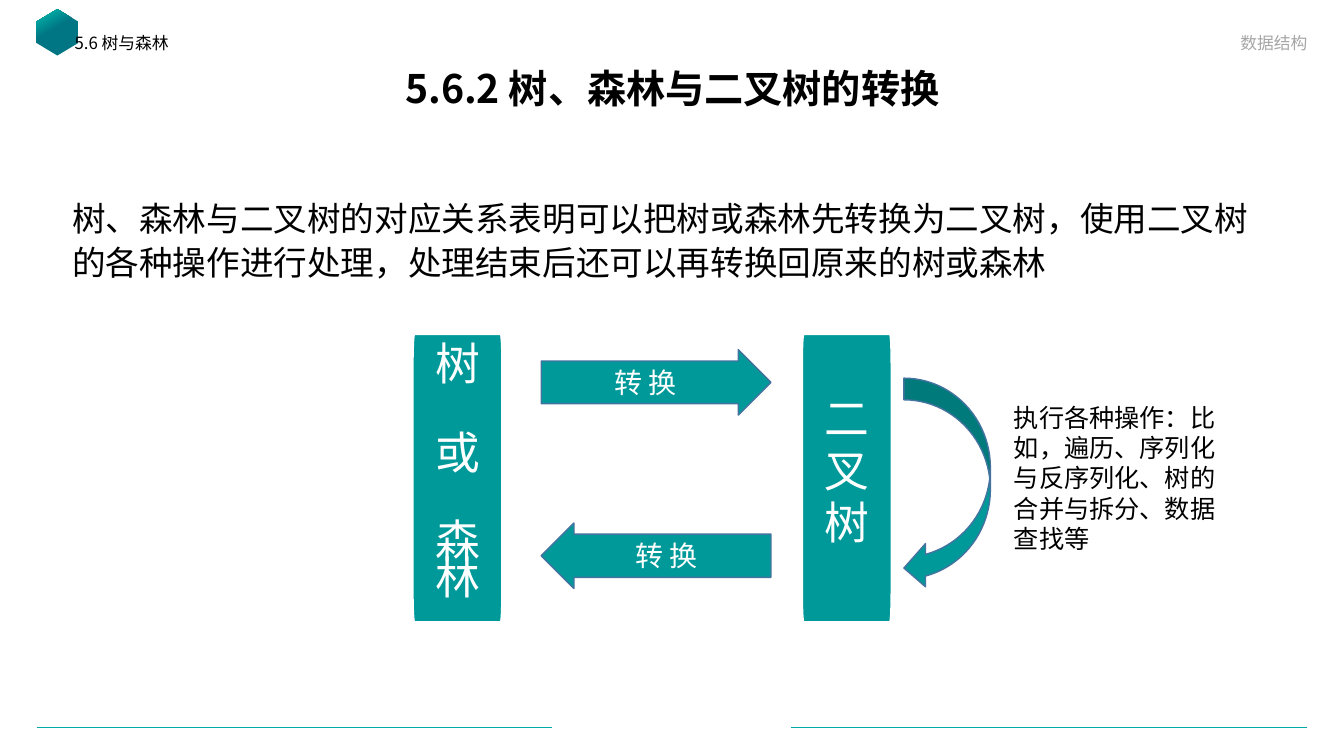
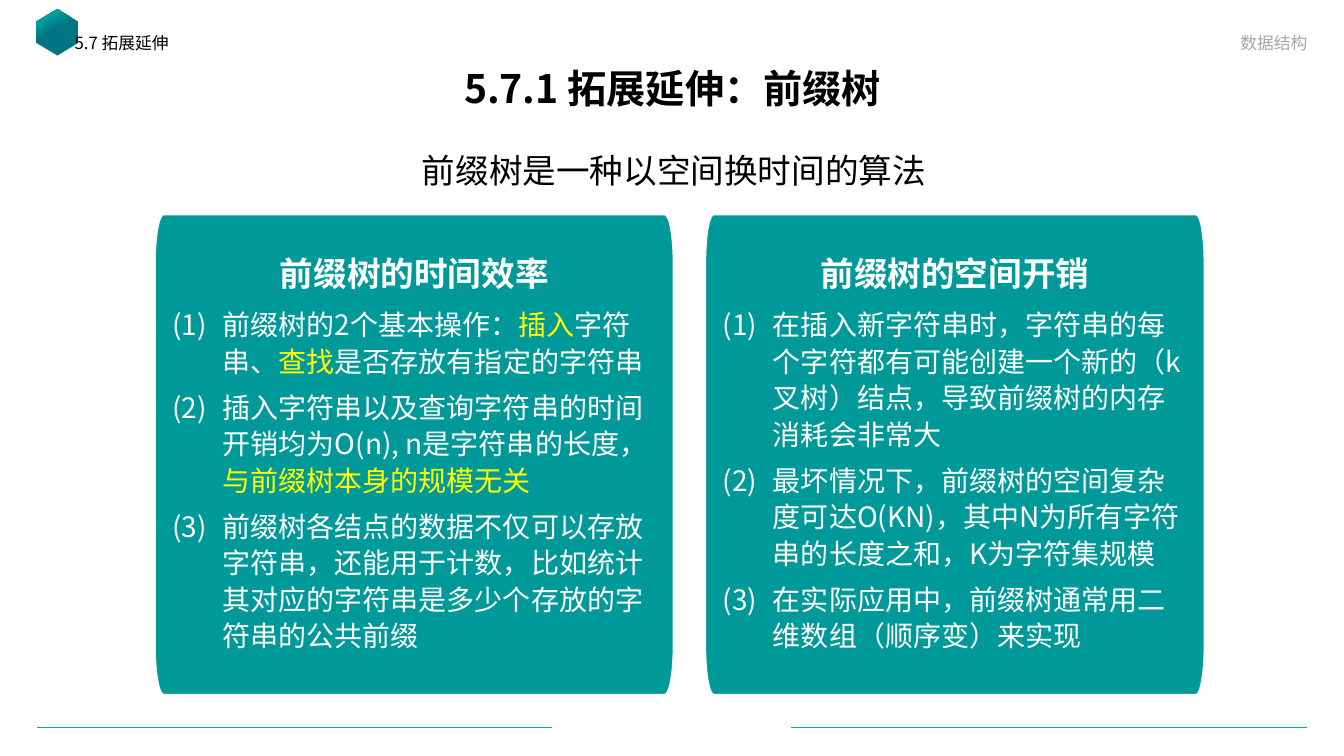
"""Build two data-structure slides: tree conversion and prefix trees."""
from dataclasses import dataclass
from math import cos, pi, sin

from lxml.etree import SubElement
from pptx import Presentation
from pptx.dml.color import RGBColor
from pptx.enum.lang import MSO_LANGUAGE_ID as Lang
from pptx.enum.shapes import MSO_CONNECTOR, MSO_SHAPE as Shape
from pptx.enum.text import MSO_ANCHOR as Anchor, MSO_AUTO_SIZE as AutoSize, PP_ALIGN as Align
from pptx.oxml.ns import qn
from pptx.util import Cm, Pt

FONT = "Noto Sans CJK SC"
COLORS = {
    "text": "000000",
    "muted": "A6A6A6",
    "white": "FFFFFF",
    "mark": "FFFF00",
    "card": "009999",
    "outline": "43739E",
    "accent": "00ABA5",
    "deep": "007684",
}
CARD_LEADING = Pt(26)
CARD_GAP = 0.35


@dataclass(frozen=True)
class Box:
    x: float
    y: float
    w: float
    h: float

    def cm(self) -> tuple:
        return Cm(self.x), Cm(self.y), Cm(self.w), Cm(self.h)


@dataclass(frozen=True)
class Arrow:
    kind: Shape
    box: Box
    adjust: tuple = ()
    label: str = ""


@dataclass(frozen=True)
class Pillar:
    x: float
    lines: tuple
    gap: float


@dataclass(frozen=True)
class Topic:
    x: float
    w: float
    heading: str
    items: tuple


RULES = ((0.94, 13.92), (19.94, 32.94))
RULE_Y = 18.34

PILLARS = (
    Pillar(10.41, ("树", "或", "森林"), 37.2),
    Pillar(20.22, ("二", "叉", "树"), 11.2),
)
ARROWS = (
    Arrow(Shape.RIGHT_ARROW, Box(13.64, 8.81, 5.79, 1.65), (0.65, 0.5), "转 换"),
    Arrow(Shape.CURVED_LEFT_ARROW, Box(22.78, 9.53, 2.18, 5.33)),
    Arrow(Shape.LEFT_ARROW, Box(13.64, 13.18, 5.79, 1.65), (0.66, 0.5), "转 换"),
)
TOPICS = (
    Topic(3.91, 13.06, "前缀树的时间效率", (
        ("前缀树的2个基本操作：", "插入", "字符串、", "查找", "是否存放有指定的字符串"),
        ("插入字符串以及查询字符串的时间开销均为O(n), n是字符串的长度，",
         "与前缀树本身的规模无关"),
        ("前缀树各结点的数据不仅可以存放字符串，还能用于计数，"
         "比如统计其对应的字符串是多少个存放的字符串的公共前缀",),
    )),
    Topic(17.78, 12.57, "前缀树的空间开销", (
        ("在插入新字符串时，字符串的每个字符都有可能创建一个新的（k叉树）结点，"
         "导致前缀树的内存消耗会非常大",),
        ("最坏情况下，前缀树的空间复杂度可达O(KN)，其中N为所有字符串的长度之和，"
         "K为字符集规模",),
        ("在实际应用中，前缀树通常用二维数组（顺序变）来实现",),
    )),
)


def rgb(name: str) -> RGBColor:
    return RGBColor.from_string(COLORS[name])


def add_text(tf, *parts: str, size: float = 24, color: str = "text", bold: bool = False,
             align=Align.LEFT, leading=None, after: float = 0, numbered: bool = False) -> None:
    """Add a paragraph whose every second part is highlighted."""
    p = tf.paragraphs[0] if not tf.text else tf.add_paragraph()
    if numbered:
        pPr = p._p.get_or_add_pPr()
        pPr.set("marL", str(Cm(1.27)))
        pPr.set("indent", str(-Cm(1.27)))
        SubElement(pPr, qn("a:buFont"), typeface="+mj-lt")
        SubElement(pPr, qn("a:buAutoNum"), type="arabicParenBoth")
    p.alignment = align
    p.space_before = Pt(0)
    p.space_after = Pt(after)
    if leading is not None:
        p.line_spacing = leading
    for i, part in enumerate(parts):
        r = p.add_run()
        r.text = part
        r.font.size, r.font.bold, r.font.name = Pt(size), bold, FONT
        r.font.language_id = Lang.SIMPLIFIED_CHINESE
        r.font.color.rgb = rgb("mark" if i % 2 else color)
        SubElement(r._r.get_or_add_rPr(), qn("a:ea"), typeface=FONT)


def add_box(s, box: Box, text: str, anchor=Anchor.TOP, **fmt) -> None:
    """Add a wrapped text box with one paragraph."""
    tf = s.shapes.add_textbox(*box.cm()).text_frame
    tf.word_wrap = True
    tf.vertical_anchor = anchor
    add_text(tf, text, **fmt)


def style(sp, fill: str, line: str) -> None:
    """Give a shape a plain fill and a thin line."""
    sp.shadow.inherit = False
    sp.fill.solid()
    sp.fill.fore_color.rgb = rgb(fill)
    sp.line.color.rgb = rgb(line)
    sp.line.width = Pt(1)


def add_card(s, box: Box):
    """Draw a card with elliptical corners and return its text frame."""
    rx, ry, steps = box.w / 60, box.h / 10, 10
    corners = (
        (box.x + box.w - rx, box.y + box.h - ry),
        (box.x + rx, box.y + box.h - ry),
        (box.x + rx, box.y + ry),
        (box.x + box.w - rx, box.y + ry),
    )
    points = []
    for quarter, (cx, cy) in enumerate(corners):
        for i in range(steps + 1):
            a = (quarter + i / steps) * pi / 2
            points.append((Cm(cx + rx * cos(a)), Cm(cy + ry * sin(a))))
    fb = s.shapes.build_freeform(*points[0])
    fb.add_line_segments(points[1:], close=True)
    sp = fb.convert_to_shape()
    style(sp, "card", "white")
    tf = sp.text_frame
    tf.word_wrap = True
    tf.vertical_anchor = Anchor.MIDDLE
    tf.margin_left = tf.margin_right = tf.margin_top = tf.margin_bottom = Cm(0.43)
    return tf


def add_arrow(s, arrow: Arrow) -> None:
    """Draw a block arrow with an optional label."""
    sp = s.shapes.add_shape(arrow.kind, *arrow.box.cm())
    for i, value in enumerate(arrow.adjust):
        sp.adjustments[i] = value
    style(sp, "card", "outline")
    if arrow.label:
        tf = sp.text_frame
        tf.vertical_anchor = Anchor.MIDDLE
        add_text(tf, arrow.label, size=20, color="white", align=Align.CENTER)


def add_frame(prs, section: str, title: str):
    """Add a slide with the shared rules, emblem, header and title."""
    s = prs.slides.add_slide(prs.slide_layouts[5])
    for x1, x2 in RULES:
        ln = s.shapes.add_connector(MSO_CONNECTOR.STRAIGHT, Cm(x1), Cm(RULE_Y), Cm(x2), Cm(RULE_Y))
        ln.line.color.rgb = rgb("accent")
        ln.line.width = Pt(0.5)
        SubElement(ln._element.spPr, qn("a:effectLst"))

    emblem = s.shapes.add_shape(Shape.HEXAGON, *Box(0.86, 0.28, 1.17, 1.07).cm())
    emblem.rotation = 90
    emblem.adjustments[0] = 0.3
    emblem.shadow.inherit = False
    emblem.line.fill.background()
    emblem.fill.gradient()
    emblem.fill.gradient_angle = 210
    for stop, pos, name in zip(emblem.fill.gradient_stops, (0.57, 0.87), ("deep", "accent")):
        stop.position = pos
        stop.color.rgb = rgb(name)

    heading = s.shapes.title
    heading.left, heading.top, heading.width, heading.height = Box(2.34, 1.57, 29.21, 1.45).cm()
    tf = heading.text_frame
    tf.auto_size = AutoSize.NONE
    tf.vertical_anchor = Anchor.MIDDLE
    add_text(tf, title, size=28, bold=True, align=Align.CENTER, leading=0.9)
    add_box(s, Box(1.63, 0.76, 13.51, 0.91), section, size=12, leading=0.9)
    add_box(s, Box(18.87, 0.56, 14.33, 0.89), "数据结构", Anchor.BOTTOM,
            size=12, color="muted", align=Align.RIGHT)
    return s


def conversion_slide(prs) -> None:
    """Show the conversion between forests and binary trees."""
    s = add_frame(prs, "5.6 树与森林", "5.6.2 树、森林与二叉树的转换")
    add_box(s, Box(1.57, 4.75, 30.71, 4.78),
            "树、森林与二叉树的对应关系表明可以把树或森林先转换为二叉树，"
            "使用二叉树的各种操作进行处理，处理结束后还可以再转换回原来的树或森林", leading=1.1)
    for pillar in PILLARS:
        tf = add_card(s, Box(pillar.x, 8.43, 2.24, 7.24))
        for line in pillar.lines:
            gap = 32 * CARD_GAP if line == pillar.lines[-1] else pillar.gap
            add_text(tf, line, size=32, color="white", align=Align.CENTER,
                     leading=CARD_LEADING, after=gap)
    for arrow in ARROWS:
        add_arrow(s, arrow)
    add_box(s, Box(25.3, 10.01, 5.82, 4.11),
            "执行各种操作：比如，遍历、序列化与反序列化、树的合并与拆分、数据查找等", size=18)


def prefix_tree_slide(prs) -> None:
    """Compare the time and space costs of prefix trees."""
    s = add_frame(prs, "5.7 拓展延伸", "5.7.1 拓展延伸：前缀树")
    add_box(s, Box(1.63, 3.56, 30.71, 1.63), "前缀树是一种以空间换时间的算法",
            align=Align.CENTER, leading=1.1)
    for topic in TOPICS:
        tf = add_card(s, Box(topic.x, 5.41, topic.w, 12.09))
        add_text(tf, topic.heading, color="white", bold=True, align=Align.CENTER,
                 leading=CARD_LEADING, after=24 * CARD_GAP)
        for item in topic.items:
            add_text(tf, *item, size=20, color="white", leading=CARD_LEADING,
                     after=20 * CARD_GAP, numbered=True)


def main() -> None:
    """Build and save the presentation."""
    prs = Presentation()
    prs.slide_width, prs.slide_height = Cm(33.87), Cm(19.05)
    conversion_slide(prs)
    prefix_tree_slide(prs)
    prs.save("out.pptx")


if __name__ == "__main__":
    main()
